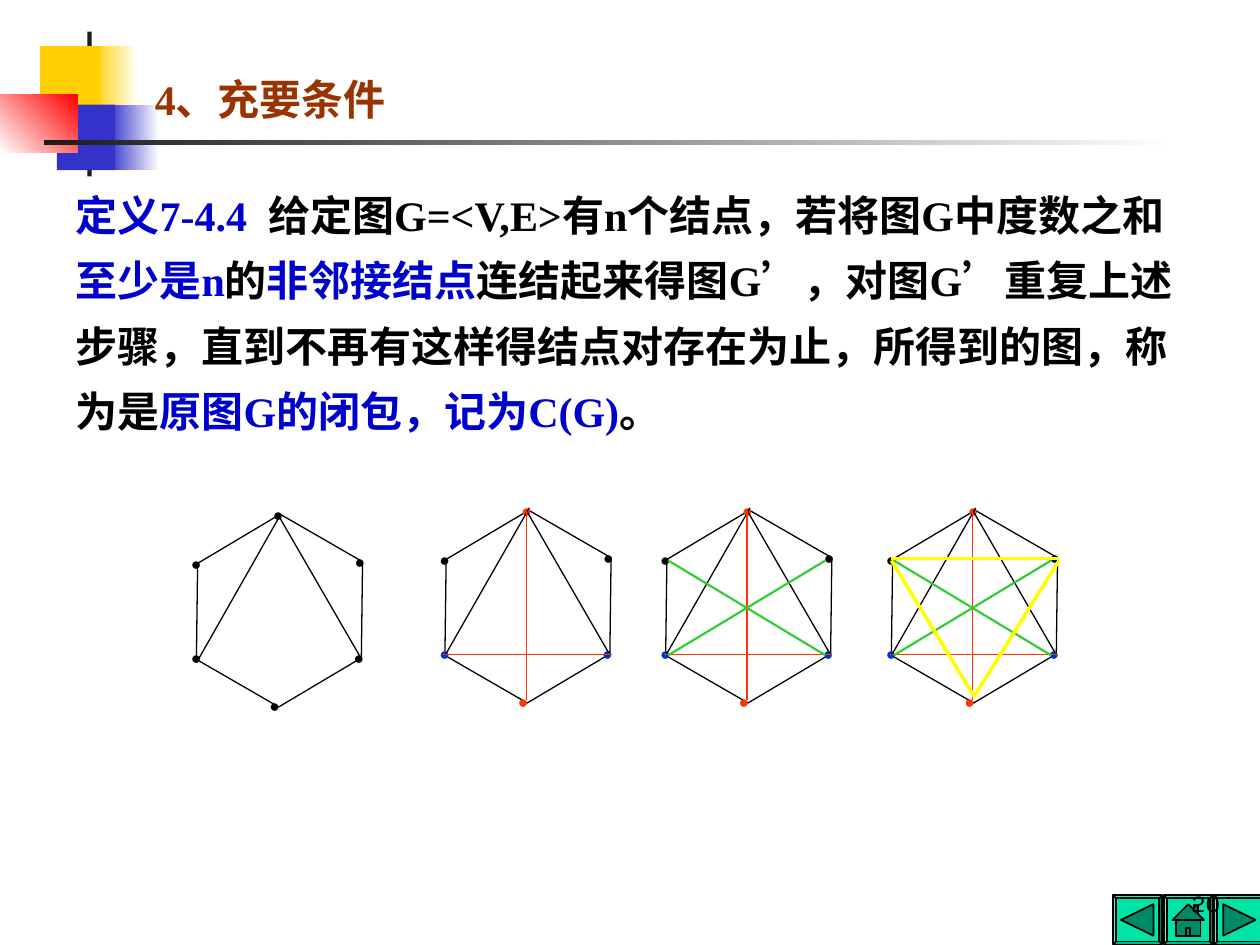
from lxml import etree
from pptx import Presentation
from pptx import util as u
from pptx.dml.color import RGBColor
from pptx.enum import shapes, text
from pptx.oxml.ns import qn

BLACK = RGBColor(0x00, 0x00, 0x00)
WHITE = RGBColor(0xFF, 0xFF, 0xFF)
CHARCOAL = RGBColor(0x1C, 0x1C, 0x1C)
GOLD = RGBColor(0xFF, 0xCF, 0x01)
INDIGO = RGBColor(0x33, 0x33, 0xCC)
RED = RGBColor(0xFF, 0x00, 0x00)
BROWN = RGBColor(0x99, 0x33, 0x00)
TERM_BLUE = RGBColor(0x00, 0x00, 0xCC)
NODE_BLUE = RGBColor(0x00, 0x33, 0xCC)
ORANGE = RGBColor(0xFF, 0x33, 0x00)
GREEN = RGBColor(0x33, 0xCC, 0x33)
YELLOW = RGBColor(0xFF, 0xFF, 0x00)
MINT = RGBColor(0x00, 0xE4, 0xA8)
DARK_MINT = RGBColor(0x00, 0x89, 0x65)

SERIF = "Times New Roman"
DEFINITION = [
    ("定义7-4.4", TERM_BLUE), (" ", TERM_BLUE),
    ("给定图G=<V,E>有n个结点，若将图G中度数之和", BLACK),
    ("至少是n", TERM_BLUE), ("的", BLACK), ("非邻接结点", TERM_BLUE),
    ("连结起来得图G’，对图G’重复上述步骤，直到不再有这样得结点对存在为止，"
     "所得到的图，称为是", BLACK),
    ("原图G的闭包，记为C(G)", TERM_BLUE), ("。", BLACK),
]

# Node and edge positions are centimetres from the corner of the hexagon's frame.
HEXAGON = (3.81, 3.38)
LOWER_NODES = [(-0.13, 2.3), (3.15, 2.3)]
UPPER_NODES = [(-0.13, 0.4), (3.17, 0.36)]
POLE_NODES = [(1.45, 3.26), (1.52, -0.59)]
RIGHT_SPOKE = (1.9, -0.2, 3.53, 2.62)
# Each step of the closure adds edges: colour, width, lines.
STEPS = [
    (ORANGE, 0.75, [(0.2, 2.66, 3.59, 2.66), (1.87, -0.23, 1.87, 3.58)]),
    (GREEN, 1.25, [(0.28, 0.76, 3.45, 2.67), (0.28, 2.67, 3.45, 0.76)]),
    (YELLOW, 2, [(0.23, 0.72, 3.61, 0.72), (0.23, 0.76, 1.9, 3.5),
                 (3.61, 0.76, 1.9, 3.5)]),
]

# Button icons as outlines in fractions of the button's side.
BACK = [[(0.16, 0.5), (0.82, 0.18), (0.82, 0.82)]]
HOME = [
    [(0.62, 0.2), (0.7, 0.2), (0.7, 0.4), (0.62, 0.4)],
    [(0.25, 0.5), (0.75, 0.5), (0.75, 0.82), (0.25, 0.82)],
    [(0.5, 0.18), (0.82, 0.5), (0.18, 0.5)],
    [(0.46, 0.66), (0.54, 0.66), (0.54, 0.82), (0.46, 0.82)],
]
FORWARD = [[(1 - x, y) for x, y in BACK[0]]]


def cm(*lengths):
    return [u.Cm(length) for length in lengths]


def place(shape, left, top, width, height):
    shape.left, shape.top, shape.width, shape.height = cm(left, top, width, height)


def write(frame, runs, size, font=SERIF, bold=False, align=text.PP_ALIGN.LEFT,
          anchor=text.MSO_ANCHOR.TOP, spacing=1.0, gap=6):
    """Fill a frame with one paragraph of (wording, colour) runs.

    A run that is only a space is widened by gap points.
    """
    frame.word_wrap = True
    frame.auto_size = text.MSO_AUTO_SIZE.NONE
    frame.vertical_anchor = anchor
    para = frame.paragraphs[0]
    properties = para._p.get_or_add_pPr()
    properties.set("marL", "0")
    properties.set("indent", "0")
    etree.SubElement(properties, qn("a:buNone"))
    para.alignment, para.line_spacing = align, spacing
    para.space_before = u.Pt(0)
    for wording, colour in runs:
        span = para.add_run()
        span.text = wording
        span.font.name, span.font.size, span.font.bold = font, u.Pt(size), bold
        span.font.color.rgb = colour
        if wording.isspace():
            span._r.get_or_add_rPr().set("spc", str(gap * 100))


def paint(shape, fill=None, line=None, width=0.75):
    shape.shadow.inherit = False
    if fill is None:
        shape.fill.background()
    else:
        shape.fill.solid()
        shape.fill.fore_color.rgb = fill
    if line is None:
        shape.line.fill.background()
    else:
        shape.line.color.rgb, shape.line.width = line, u.Pt(width)


def add_block(group, frame, colour, fade_to=None, angle=0):
    block = group.shapes.add_shape(shapes.MSO_SHAPE.RECTANGLE, *cm(*frame))
    paint(block, colour)
    if fade_to is not None:
        block.fill.gradient()
        block.fill.gradient_angle = angle
        for stop, shade, position in zip(block.fill.gradient_stops,
                                         (colour, fade_to), (0, 1)):
            stop.color.rgb, stop.position = shade, position


def add_decoration(page):
    group = page.shapes.add_group_shape()
    add_block(group, (1.87, 0.93, 0.91, 1.32), GOLD, WHITE)
    add_block(group, (2.19, 2.11, 1.02, 1.32), INDIGO, WHITE)
    add_block(group, (1.76, 0.64, 0.09, 2.92), CHARCOAL)
    add_block(group, (0.81, 0.93, 1.22, 1.32), GOLD)
    add_block(group, (1.15, 2.11, 1.17, 1.32), INDIGO)
    add_block(group, (0, 1.9, 1.56, 1.18), WHITE, RED, angle=45)
    add_block(group, (0.89, 2.82, 22.86, 0.1), CHARCOAL, WHITE)


def add_button(page, left, top, side, icon):
    button = page.shapes.add_shape(shapes.MSO_SHAPE.BEVEL, *cm(left, top, side, side))
    button.adjustments[0] = 0.06
    paint(button, MINT, BLACK, 1)
    for outline in icon:
        points = [cm(left + x * side, top + y * side) for x, y in outline]
        builder = page.shapes.build_freeform(*points[0])
        builder.add_line_segments(points[1:], close=True)
        paint(builder.convert_to_shape(), DARK_MINT, BLACK, 1)


def add_edge(group, left, top, ends, colour, width):
    x1, y1, x2, y2 = ends
    edge = group.shapes.add_connector(
        shapes.MSO_CONNECTOR.STRAIGHT, *cm(left + x1, top + y1, left + x2, top + y2))
    edge.line.color.rgb, edge.line.width = colour, u.Pt(width)
    etree.SubElement(edge._element.spPr, qn("a:effectLst"))


def add_graph(page, left, top, left_spoke, steps):
    """Draw the hexagon graph after the given number of closure steps."""
    group = page.shapes.add_group_shape()
    hexagon = group.shapes.add_shape(shapes.MSO_SHAPE.HEXAGON, *cm(left, top, *HEXAGON))
    hexagon.adjustments[0] = 0.28
    hexagon.rotation = 30
    paint(hexagon, line=BLACK)
    lower, pole = (NODE_BLUE, ORANGE) if steps else (BLACK, BLACK)
    for nodes, colour in ((LOWER_NODES, lower), (UPPER_NODES, BLACK), (POLE_NODES, pole)):
        for x, y in nodes:
            box = group.shapes.add_textbox(*cm(left + x, top + y, 0.64, 0.69))
            write(box.text_frame, [("●", colour)], size=10)
    for spoke in (left_spoke, RIGHT_SPOKE):
        add_edge(group, left, top, spoke, BLACK, 0.75)
    for colour, width, edges in STEPS[:steps]:
        for ends in edges:
            add_edge(group, left, top, ends, colour, width)


def main():
    deck = Presentation()
    deck.slide_width, deck.slide_height = cm(25.4, 19.05)
    page = deck.slides.add_slide(deck.slide_layouts[1])
    add_decoration(page)
    for index, icon in enumerate((BACK, HOME, FORWARD)):
        add_button(page, 22.44 + 1.02 * index, 18.05, 0.99, icon)

    number = page.shapes.add_textbox(*cm(19.56, 17.34, 5.29, 1.27))
    write(number.text_frame, [("20", BLACK)], size=14, font="Karla",
          align=text.PP_ALIGN.RIGHT, anchor=text.MSO_ANCHOR.BOTTOM)

    title, body = page.shapes.title, page.placeholders[1]
    place(body, 1.27, 3.38, 22.99, 5.54)
    write(body.text_frame, DEFINITION, size=24, bold=True, spacing=1.3)

    add_graph(page, 3.73, 10.62, (1.9, -0.2, 0.23, 2.74), steps=0)
    for steps, left in enumerate((8.74, 13.19, 17.74), start=1):
        add_graph(page, left, 10.54, (1.93, -0.3, 0.25, 2.64), steps)

    place(title, 2.87, 1.05, 6, 1.57)
    write(title.text_frame, [("4、充要条件", BROWN)], size=24, bold=True, spacing=1.3)
    page.shapes.element.append(title.element)  # in front of the decoration
    deck.save("out.pptx")


if __name__ == "__main__":
    main()
